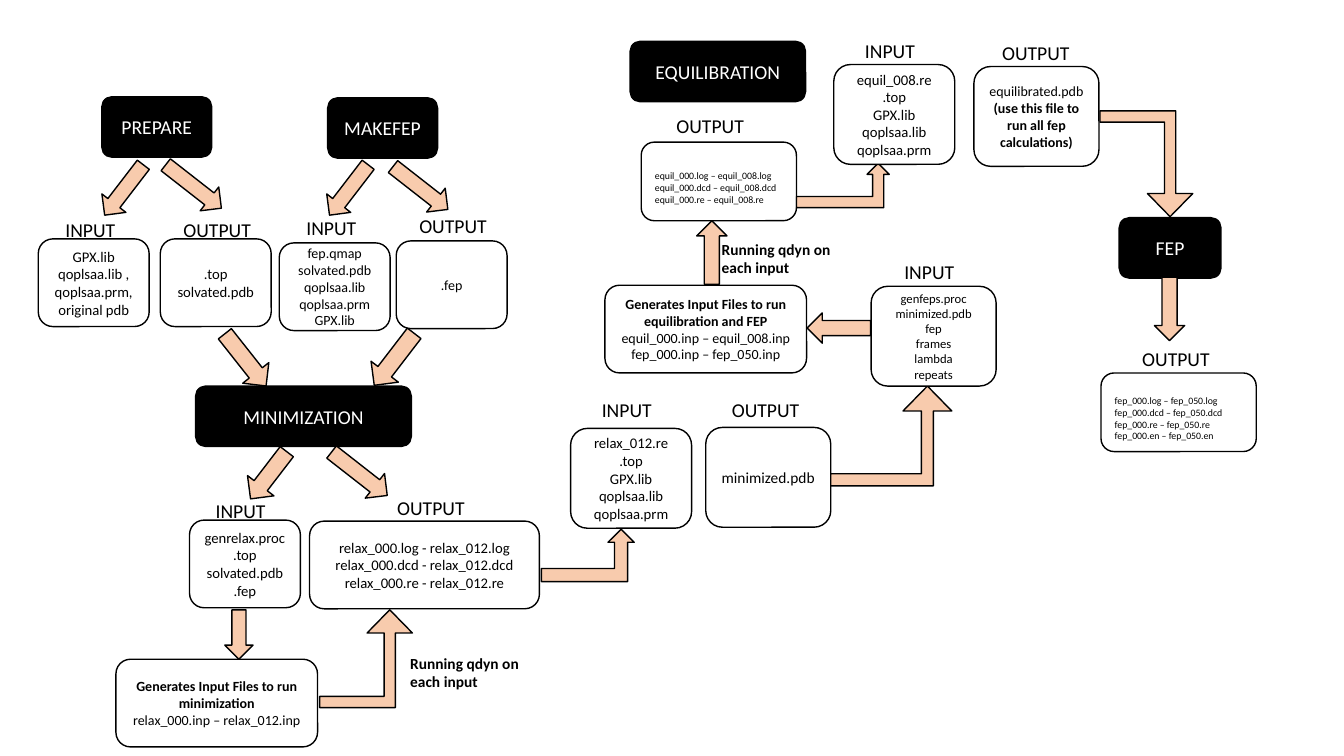
import pptx
import pptx.util
import pptx.dml.color
import pptx.enum.shapes
import pptx.enum.text

Inches = pptx.util.Inches
Pt = pptx.util.Pt
KIND = pptx.enum.shapes.MSO_SHAPE
ALIGN = pptx.enum.text.PP_ALIGN
ANCHOR = pptx.enum.text.MSO_ANCHOR
HUES = {"black": "000000", "white": "FFFFFF", "peach": "F8CBAD"}


def hue(name):
    """Return the named colour."""
    return pptx.dml.color.RGBColor.from_string(HUES[name])


def write(shape, lines, size, color="black", bold=0, align=ALIGN.CENTER):
    """Fill a shape with lines, the first few of them bold."""
    frame = shape.text_frame
    frame.word_wrap = True
    for i, line in enumerate(lines):
        para = frame.add_paragraph() if i else frame.paragraphs[0]
        para.text = line
        para.alignment = align
        para.font.name = "Calibri"
        para.font.size = Pt(size)
        para.font.bold = i < bold
        para.font.color.rgb = hue(color)


def draw(slide, kind, x, y, w, h, fill):
    """Add an outlined preset shape."""
    shape = slide.shapes.add_shape(kind, Inches(x), Inches(y), Inches(w), Inches(h))
    shape.shadow.inherit = False
    shape.fill.solid()
    shape.fill.fore_color.rgb = hue(fill)
    shape.line.color.rgb = hue("black")
    shape.line.width = Pt(1)
    return shape


def title(slide, x, y, w, text):
    """Add a black stage heading."""
    shape = draw(slide, KIND.ROUNDED_RECTANGLE, x, y, w, 0.6, "black")
    write(shape, [text], 14, "white")


def card(slide, x, y, w, h, lines, size=10.5, bold=0):
    """Add a white box of file names."""
    shape = draw(slide, KIND.ROUNDED_RECTANGLE, x, y, w, h, "white")
    shape.text_frame.vertical_anchor = ANCHOR.MIDDLE
    write(shape, lines, size, bold=bold)
    return shape


def logs(slide, x, y, lines):
    """Add a box of small left-aligned log names."""
    shape = card(slide, x, y, 1.54, 0.78, lines, 7)
    shape.text_frame.margin_top = Inches(0.17)
    for para in shape.text_frame.paragraphs:
        para.alignment = ALIGN.LEFT


def label(slide, x, y, text):
    """Add a caption above a box."""
    box = slide.shapes.add_textbox(Inches(x), Inches(y), Inches(0.92), Inches(0.34))
    write(box, [text], 14, align=ALIGN.LEFT)


def note(slide, x, y):
    """Add the bold remark beside a run arrow."""
    box = slide.shapes.add_textbox(Inches(x), Inches(y), Inches(1.4), Inches(0.47))
    write(box, ["Running qdyn on each input"], 11, bold=1, align=ALIGN.LEFT)


def arrow(slide, x, y, w, h, turn=0):
    """Add a block arrow turned from pointing down."""
    draw(slide, KIND.DOWN_ARROW, x, y, w, h, "peach").rotation = turn


def bend(slide, x, y, w, h, thin=True, flip=False):
    """Add a bent arrow going right, then up or down."""
    shape = draw(slide, KIND.BENT_UP_ARROW, x, y, w, h, "peach")
    if thin:
        shape.adjustments[0] = 0.121
        shape.adjustments[1] = 0.244
    if flip:
        shape._element.spPr.get_or_add_xfrm().set("flipV", "1")


def prepare(slide, x, y):
    """Place the preparation stage."""
    title(slide, x + 0.63, y, 1.09, "PREPARE")
    label(slide, x + 0.17, y + 1.15, "INPUT")
    card(slide, x, y + 1.41, 1.1, 0.87,
         ["GPX.lib", "qoplsaa.lib , qoplsaa.prm, original pdb"])
    label(slide, x + 1.34, y + 1.15, "OUTPUT")
    card(slide, x + 1.21, y + 1.41, 1.1, 0.87, [".top", "solvated.pdb"])
    arrow(slide, x + 0.7, y + 0.61, 0.3, 0.63, 37.5)
    arrow(slide, x + 1.39, y + 0.54, 0.3, 0.7, 308)
    arrow(slide, x + 1.89, y + 2.28, 0.33, 0.66, 321.7)


def makefep(slide, x, y):
    """Place the FEP file stage."""
    title(slide, x + 0.48, y, 1.09, "MAKEFEP")
    label(slide, x + 0.17, y + 1.12, "INPUT")
    card(slide, x, y + 1.44, 1.1, 0.87,
         ["fep.qmap", "solvated.pdb", "qoplsaa.lib", "qoplsaa.prm", "GPX.lib"], 10)
    card(slide, x + 1.16, y + 1.42, 1.1, 0.87, [".fep"], 10)
    label(slide, x + 1.29, y + 1.1, "OUTPUT")
    arrow(slide, x + 0.54, y + 0.6, 0.3, 0.63, 37.5)
    arrow(slide, x + 1.25, y + 0.55, 0.3, 0.69, 308)
    arrow(slide, x + 0.97, y + 2.27, 0.34, 0.65, 37.5)


def minimize(slide, x, y):
    """Place the minimization stage."""
    title(slide, x + 0.79, y, 2.14, "MINIMIZATION")
    label(slide, x + 0.89, y + 1.07, "INPUT")
    card(slide, x + 0.73, y + 1.33, 1.1, 0.87,
         ["genrelax.proc", ".top", "solvated.pdb", ".fep"])
    label(slide, x + 2.69, y + 1.04, "OUTPUT")
    card(slide, x + 1.92, y + 1.34, 2.28, 0.87,
         [f"relax_000.{kind} - relax_012.{kind}" for kind in ("log", "dcd", "re")])
    arrow(slide, x + 1.35, y + 0.59, 0.33, 0.59, 37.5)
    arrow(slide, x + 2.26, y + 0.52, 0.31, 0.7, 308)
    arrow(slide, x + 1.08, y + 2.22, 0.28, 0.49)
    card(slide, x, y + 2.71, 2, 0.87,
         ["Generates Input Files to run minimization",
          "relax_000.inp – relax_012.inp"], 10, 1)
    note(slide, x + 2.82, y + 2.61)
    bend(slide, x + 2.02, y + 2.22, 0.92, 0.97)
    bend(slide, x + 4.22, y + 1.42, 0.92, 0.52, False)


def relax(slide, x, y):
    """Place the relaxed structure."""
    label(slide, x + 0.21, y, "INPUT")
    card(slide, x, y + 0.35, 1.2, 0.99,
         ["relax_012.re", ".top", "GPX.lib", "qoplsaa.lib qoplsaa.prm"])
    label(slide, x + 1.5, y, "OUTPUT")
    card(slide, x + 1.34, y + 0.34, 1.24, 0.99, ["minimized.pdb"], 11)
    bend(slide, x + 2.58, y - 0.07, 1.2, 0.99)


def equil(slide, x, y):
    """Place the equilibration stage."""
    title(slide, x + 0.25, y, 1.74, "EQUILIBRATION")
    label(slide, x + 2.87, y + 2.12, "INPUT")
    card(slide, x + 2.64, y + 2.43, 1.24, 0.99,
         ["genfeps.proc", "minimized.pdb", "fep", "frames", "lambda", "repeats"], 9)
    card(slide, x, y + 2.42, 2, 0.87,
         ["Generates Input Files to run equilibration and FEP",
          "equil_000.inp – equil_008.inp", "fep_000.inp – fep_050.inp"], 10, 1)
    arrow(slide, x + 2.17, y + 2.53, 0.3, 0.63, 90)
    arrow(slide, x + 0.91, y + 1.78, 0.3, 0.63, 180)
    logs(slide, x + 0.36, y + 1,
         [f"equil_000.{kind} – equil_008.{kind}" for kind in ("log", "dcd", "re")])
    note(slide, x + 1.06, y + 1.92)
    bend(slide, x + 1.9, y + 1.21, 0.92, 0.44, False)
    label(slide, x + 2.48, y - 0.07, "INPUT")
    card(slide, x + 2.27, y + 0.23, 1.2, 0.99,
         ["equil_008.re", ".top", "GPX.lib", "qoplsaa.lib qoplsaa.prm"])
    label(slide, x + 3.84, y - 0.05, "OUTPUT")
    final = card(slide, x + 3.66, y + 0.25, 1.24, 0.99,
                 ["equilibrated.pdb", "(use this file to run all fep calculations)"], 10)
    final.text_frame.paragraphs[1].font.bold = True
    bend(slide, x + 4.91, y + 0.69, 0.92, 1.05, flip=True)
    label(slide, x + 0.61, y + 0.67, "OUTPUT")


def fep(slide, x, y):
    """Place the FEP stage."""
    title(slide, x + 0.18, y, 1.01, "FEP")
    logs(slide, x, y + 1.54,
         [f"fep_000.{kind} – fep_050.{kind}" for kind in ("log", "dcd", "re", "en")])
    label(slide, x + 0.31, y + 1.23, "OUTPUT")
    arrow(slide, x + 0.53, y + 0.59, 0.3, 0.63)


def main():
    """Build the workflow slide."""
    deck = pptx.Presentation()
    deck.slide_width = Inches(13.33)
    deck.slide_height = Inches(7.5)
    slide = deck.slides.add_slide(deck.slide_layouts[6])
    prepare(slide, 0.38, 0.96)
    makefep(slide, 2.77, 0.97)
    minimize(slide, 1.15, 3.83)
    relax(slide, 5.66, 3.9)
    equil(slide, 6, 0.41)
    fep(slide, 10.92, 2.16)
    deck.save("out.pptx")


if __name__ == "__main__":
    main()
